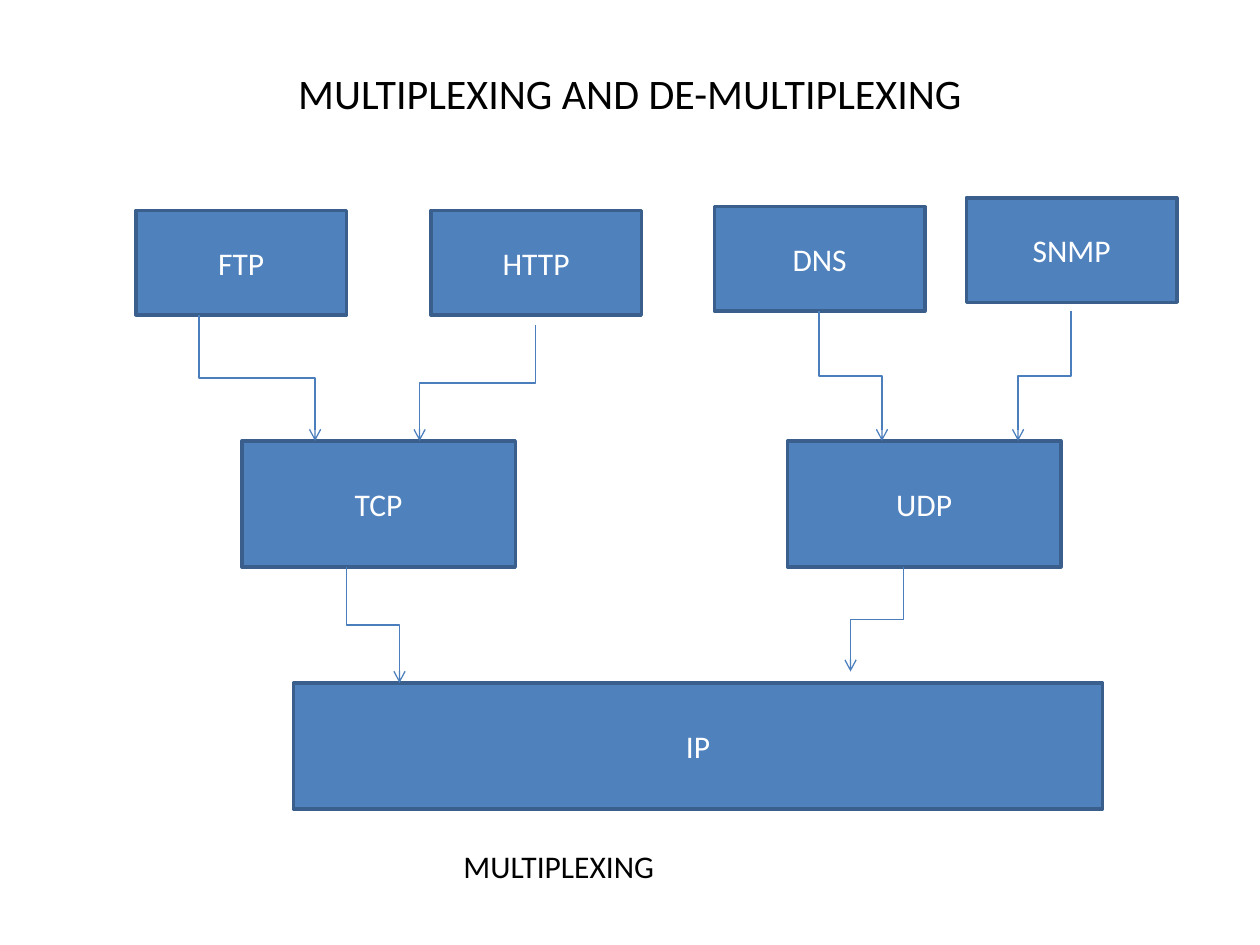
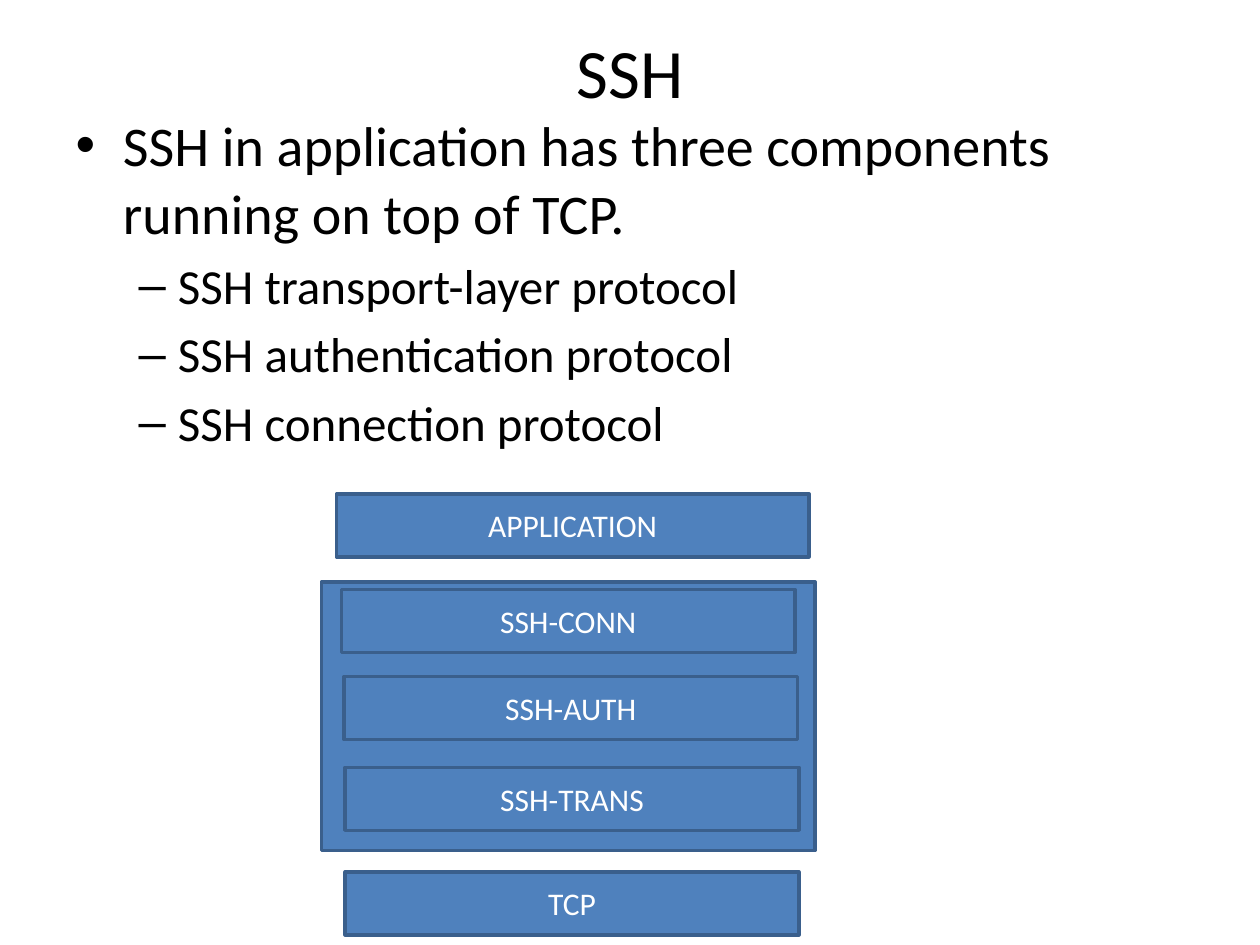
import pptx
import pptx.util
import pptx.dml.color
import pptx.enum.shapes
import pptx.enum.text
import pptx.oxml.ns
from lxml import etree

Inches = pptx.util.Inches
Pt = pptx.util.Pt
ALIGN = pptx.enum.text.PP_ALIGN
ANCHOR = pptx.enum.text.MSO_ANCHOR

COLORS = {"text": "000000", "box": "4F81BD", "border": "3A5F8C",
          "arrow": "4B7EBC", "label": "FFFFFF"}
FONT = "Calibri"
TITLE_AND_CONTENT, TITLE_ONLY = 1, 5


def rgb(name):
    return pptx.dml.color.RGBColor.from_string(COLORS[name])


def style_run(r, size, color="text"):
    for key, value in {"name": FONT, "size": Pt(size)}.items():
        setattr(r.font, key, value)
    r.font.color.rgb = rgb(color)


def place(shape, left, top, width, height):
    box = {"left": left, "top": top, "width": width, "height": height}
    for key, value in box.items():
        setattr(shape, key, Inches(value))


def format_frame(tf, anchor):
    settings = {"word_wrap": True, "vertical_anchor": anchor,
                "auto_size": pptx.enum.text.MSO_AUTO_SIZE.NONE}
    for key, value in settings.items():
        setattr(tf, key, value)


def write_line(p, text, size, color="text", align=None):
    p.alignment = align
    r = p.add_run()
    r.text = text
    style_run(r, size, color)


def add_title(s, text, size, height):
    title = s.shapes.title
    place(title, 0.5, 0.3, 9, height)
    format_frame(title.text_frame, ANCHOR.MIDDLE)
    write_line(title.text_frame.paragraphs[0], text, size, align=ALIGN.CENTER)


def add_body(s, lines):
    """Fill the content placeholder with (level, size, text) lines."""
    body = s.placeholders[1]
    place(body, 0.5, 0.83, 9, 6.5)
    tf = body.text_frame
    format_frame(tf, ANCHOR.TOP)
    for i, (level, size, text) in enumerate(lines):
        p = tf.add_paragraph() if i else tf.paragraphs[0]
        p.level = level
        write_line(p, text, size)


def add_box(s, left, top, width, height, text=None):
    sp = s.shapes.add_shape(pptx.enum.shapes.MSO_SHAPE.RECTANGLE, Inches(left),
                            Inches(top), Inches(width), Inches(height))
    sp.shadow.inherit = False
    sp.fill.solid()
    sp.fill.fore_color.rgb = rgb("box")
    sp.line.color.rgb = rgb("border")
    sp.line.width = Pt(2)
    if text:
        format_frame(sp.text_frame, ANCHOR.MIDDLE)
        write_line(sp.text_frame.paragraphs[0], text, 18, "label", ALIGN.CENTER)


def add_down_arrow(s, x1, y1, x2, y2):
    """Elbow arrow that leaves and arrives vertically: a turned elbow."""
    mid_x, mid_y = (x1 + x2) / 2, (y1 + y2) / 2
    half_w, half_h = (y2 - y1) / 2, abs(x2 - x1) / 2
    rightward = x2 > x1
    if rightward:
        half_w = -half_w
    c = s.shapes.add_connector(
        pptx.enum.shapes.MSO_CONNECTOR.ELBOW,
        Inches(mid_x - half_w), Inches(mid_y - half_h),
        Inches(mid_x + half_w), Inches(mid_y + half_h))
    c.line.color.rgb = rgb("arrow")
    c.line.width = Pt(0.75)
    qn = pptx.oxml.ns.qn
    sp_pr = c._element.spPr
    sp_pr.find(qn("a:xfrm")).set("rot", str((270 if rightward else 90) * 60000))
    etree.SubElement(sp_pr.find(qn("a:ln")), qn("a:tailEnd")).set("type", "arrow")
    etree.SubElement(sp_pr, qn("a:effectLst"))


def add_caption(s, left, top, width, height, text):
    sp = s.shapes.add_textbox(Inches(left), Inches(top), Inches(width), Inches(height))
    format_frame(sp.text_frame, ANCHOR.TOP)
    write_line(sp.text_frame.paragraphs[0], text, 18)


def build_multiplexing(prs):
    s = prs.slides.add_slide(prs.slide_layouts[TITLE_ONLY])
    add_title(s, "MULTIPLEXING AND DE-MULTIPLEXING", 24, 0.87)

    # Application protocols
    for left, top, name in [(1.08, 1.67, "FTP"), (3.42, 1.67, "HTTP"),
                            (5.67, 1.64, "DNS"), (7.67, 1.57, "SNMP")]:
        add_box(s, left, top, 1.67, 0.83, name)

    # Transport and network layers
    for left, name in [(1.92, "TCP"), (6.25, "UDP")]:
        add_box(s, left, 3.5, 2.17, 1, name)
    add_box(s, 2.33, 5.42, 6.42, 1, "IP")

    # Flow from each layer down to the next
    for ends in [(1.58, 2.5, 2.5, 3.5), (4.25, 2.58, 3.33, 3.5),
                 (6.5, 2.47, 7, 3.5), (8.5, 2.47, 8.08, 3.5),
                 (2.75, 4.5, 3.17, 5.42), (7.17, 4.5, 6.75, 5.33)]:
        add_down_arrow(s, *ends)
    add_caption(s, 3.58, 6.67, 5.33, 0.4, "MULTIPLEXING")


def build_ssh(prs):
    s = prs.slides.add_slide(prs.slide_layouts[TITLE_AND_CONTENT])
    add_title(s, "SSH", 39.6, 0.53)
    components = ["transport-layer", "authentication", "connection"]
    add_body(s, [(0, 32, "SSH in application has three components running on top of TCP.")]
             + [(1, 28, f"SSH {name} protocol") for name in components])

    # Protocol stack, with the SSH layers inside one frame
    add_box(s, 2.67, 3.92, 3.75, 0.5, "APPLICATION")
    add_box(s, 2.55, 4.62, 3.92, 2.13)
    for left, top, name in [(2.71, 4.68, "SSH-CONN"), (2.73, 5.37, "SSH-AUTH"),
                            (2.74, 6.09, "SSH-TRANS"), (2.74, 6.92, "TCP")]:
        add_box(s, left, top, 3.6, 0.5, name)


def main():
    prs = pptx.Presentation()
    prs.slide_width, prs.slide_height = Inches(10), Inches(7.5)
    build_multiplexing(prs)
    build_ssh(prs)
    prs.save("out.pptx")


if __name__ == "__main__":
    main()
